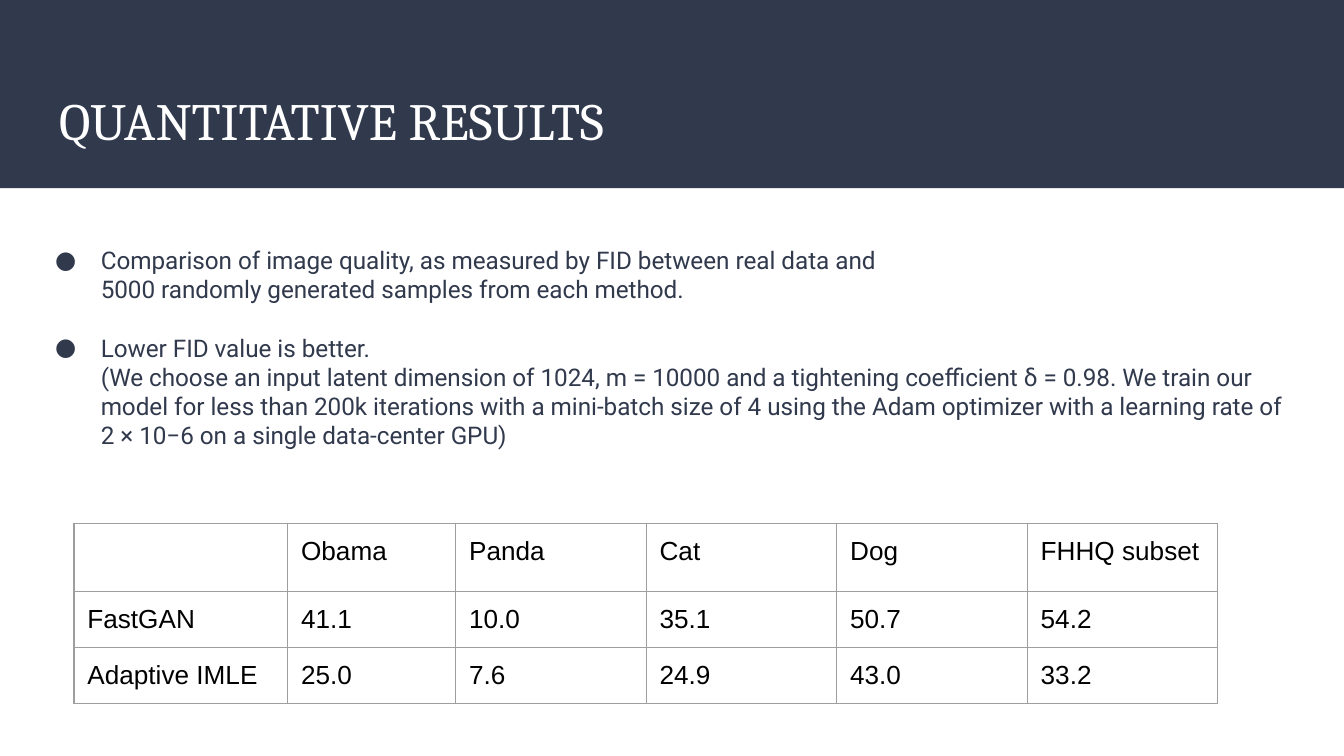
from dataclasses import dataclass

from lxml import etree
from pptx import Presentation
from pptx import util as u
from pptx.dml.color import RGBColor
from pptx.enum import shapes, text
from pptx.oxml import ns


@dataclass(frozen=True)
class Theme:
    navy: str = "31394D"
    white: str = "FFFFFF"
    black: str = "000000"
    grey: str = "9E9E9E"
    head: str = "Cambria"
    body: str = "Roboto"
    grid: str = "Arial"
    big: float = 28
    mid: float = 14
    small: float = 13
    inset: float = 7.2
    rule: float = 0.75


T = Theme()

POINTS = [
    (
        "Comparison of image quality, as measured by FID between real data and",
        "5000 randomly generated samples from each method.",
    ),
    (
        "Lower FID value is better.",
        "(We choose an input latent dimension of 1024, m = 10000 and a tightening "
        "coefficient δ = 0.98. We train our model for less than 200k iterations with "
        "a mini-batch size of 4 using the Adam optimizer with a learning rate of",
        "2 × 10−6 on a single data-center GPU)",
    ),
]

SCORES = [
    ("", "Obama", "Panda", "Cat", "Dog", "FHHQ subset"),
    ("FastGAN", "41.1", "10.0", "35.1", "50.7", "54.2"),
    ("Adaptive IMLE", "25.0", "7.6", "24.9", "43.0", "33.2"),
]
WIDTHS = [114.5, 90] + [102.1] * 4
HEIGHTS = [34.8, 30, 30]


def apply(item, values):
    for key, value in values.items():
        setattr(item, key, value)


def place(shape, left, top, width, height):
    box = {"left": left, "top": top, "width": width, "height": height}
    apply(shape, {key: u.Pt(value) for key, value in box.items()})


def frame(shape, anchor):
    sides = ("left", "right", "top", "bottom")
    look = {f"margin_{side}": u.Pt(T.inset) for side in sides}
    look |= {
        "word_wrap": True,
        "auto_size": text.MSO_AUTO_SIZE.NONE,
        "vertical_anchor": anchor,
    }
    apply(shape.text_frame, look)


def write(para, words, face, size, color):
    run = para.add_run()
    run.text = words
    apply(run.font, {"name": face, "size": u.Pt(size), "bold": False})
    run.font.color.rgb = RGBColor.from_string(color)


def node(parent, tag, **attrs):
    return etree.SubElement(parent, ns.qn(f"a:{tag}"), attrs)


def add_band(slide):
    band = slide.shapes.add_shape(shapes.MSO_SHAPE.RECTANGLE, 0, 0, u.Pt(720), u.Pt(100.8))
    band.shadow.inherit = False
    band.fill.solid()
    band.fill.fore_color.rgb = RGBColor.from_string(T.navy)
    band.line.fill.background()
    slide.shapes.title.element.addprevious(band.element)


def add_title(slide, words):
    title = slide.shapes.title
    place(title, 24.5, 39.6, 671, 49)
    frame(title, text.MSO_ANCHOR.MIDDLE)
    para = title.text_frame.paragraphs[0]
    para.alignment = text.PP_ALIGN.LEFT
    write(para, words, T.head, T.big, T.white)


def add_line(para, words, lead, gap):
    apply(para, {"space_before": u.Pt(gap), "space_after": u.Pt(0), "line_spacing": 1.0})
    props = para._p.get_or_add_pPr()
    props.set("marL", str(u.Pt(36)))
    props.set("indent", str(u.Pt(-24.5 if lead else 0)))
    if lead:
        node(node(props, "buClr"), "srgbClr", val=T.navy)
        node(props, "buFont", typeface=T.body)
        node(props, "buChar", char="●")
    else:
        node(props, "buNone")
    write(para, words, T.body, T.small, T.navy)


def add_list(slide, points):
    body = slide.placeholders[1]
    place(body, 10.8, 124.3, 699, 280)
    frame(body, text.MSO_ANCHOR.TOP)
    words = body.text_frame
    for i, point in enumerate(points):
        for j, line in enumerate(point):
            first = i == j == 0
            para = words.paragraphs[0] if first else words.add_paragraph()
            gap = 15.6 if i and not j else 0
            add_line(para, line, j == 0, gap)


def add_edges(cell):
    props = cell._tc.get_or_add_tcPr()
    for i, tag in enumerate(("lnL", "lnR", "lnT", "lnB")):
        edge = node(props, tag, w=str(u.Pt(T.rule)))
        node(node(edge, "solidFill"), "srgbClr", val=T.grey)
        props.insert(i, edge)


def add_grid(slide, rows):
    size = len(rows), len(rows[0])
    box = [u.Pt(n) for n in (39.6, 280.3, sum(WIDTHS), sum(HEIGHTS))]
    grid = slide.shapes.add_table(*size, *box).table
    apply(grid, {"first_row": False, "horz_banding": False})
    for col, width in zip(grid.columns, WIDTHS):
        col.width = u.Pt(width)
    for row, height, words in zip(grid.rows, HEIGHTS, rows):
        row.height = u.Pt(height)
        for cell, word in zip(row.cells, words):
            sides = ("left", "right", "top", "bottom")
            apply(cell, {f"margin_{side}": u.Pt(T.inset) for side in sides})
            cell.fill.background()
            add_edges(cell)
            if word:
                write(cell.text_frame.paragraphs[0], word, T.grid, T.mid, T.black)


def main():
    deck = Presentation()
    apply(deck, {"slide_width": u.Pt(720), "slide_height": u.Pt(405)})
    slide = deck.slides.add_slide(deck.slide_layouts[1])
    add_band(slide)
    add_title(slide, "QUANTITATIVE RESULTS")
    add_list(slide, POINTS)
    add_grid(slide, SCORES)
    deck.save("out.pptx")


if __name__ == "__main__":
    main()
